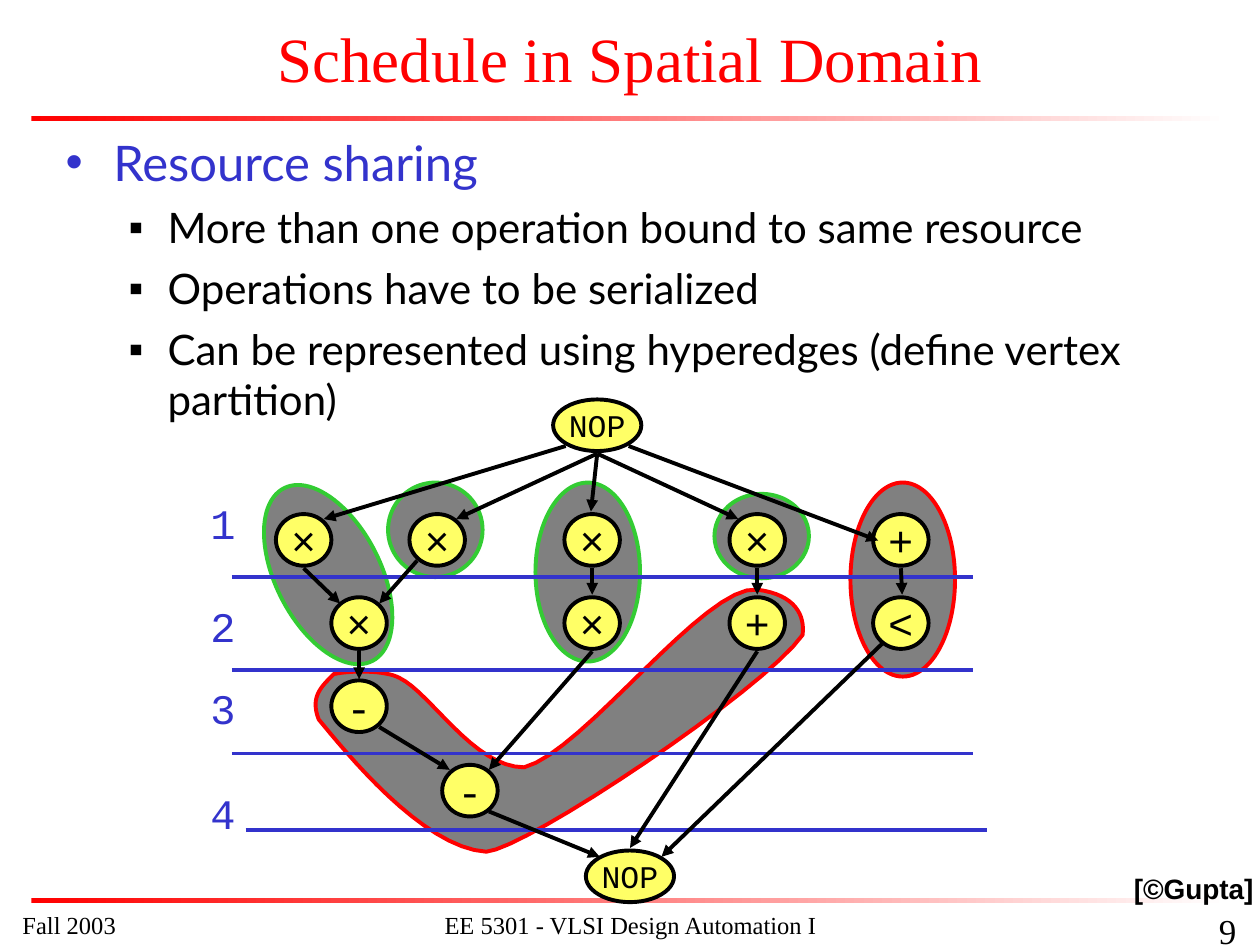
from dataclasses import dataclass

import lxml.etree
import pptx
import pptx.dml.color
import pptx.enum.shapes
import pptx.enum.text
import pptx.oxml.ns
import pptx.util

Inches = pptx.util.Inches
Pt = pptx.util.Pt
RGBColor = pptx.dml.color.RGBColor
ALIGN = pptx.enum.text.PP_ALIGN
ANCHOR = pptx.enum.text.MSO_ANCHOR
SHAPE = pptx.enum.shapes.MSO_SHAPE
qn = pptx.oxml.ns.qn

BLACK = RGBColor(0x00, 0x00, 0x00)
WHITE = RGBColor(0xFF, 0xFF, 0xFF)
RED = RGBColor(0xFF, 0x00, 0x00)
BLUE = RGBColor(0x33, 0x33, 0xCC)
GREEN = RGBColor(0x33, 0xCC, 0x33)
GRAY = RGBColor(0x80, 0x80, 0x80)
YELLOW = RGBColor(0xFF, 0xFF, 0x66)
SERIF, SANS, MONO, BODY = "Times New Roman", "Arial", "Courier New", "Lato"
LINE_WIDTH = Pt(2.25)
NODE_HEIGHT = 0.41
CURVE_STEPS = 16


@dataclass
class Oval:
    left: float
    top: float
    width: float
    height: float
    line: RGBColor
    fill: RGBColor = GRAY
    rotation: float = 0


@dataclass
class Node:
    label: str
    left: float
    top: float
    width: float = 0.44
    size: int = 24


@dataclass
class Label:
    text: str
    left: float
    top: float
    width: float
    height: float
    size: int
    font: str
    color: RGBColor = BLACK
    align: ALIGN = ALIGN.LEFT
    inset: tuple = (0.1, 0.05)
    bold: bool = False


@dataclass
class Bullet:
    text: str
    level: int
    mark: str
    margin: float
    indent: float
    before: int
    size: int
    color: RGBColor


GROUPS = [
    Oval(5.67, 3.92, 0.75, 0.67, GREEN),
    Oval(3.08, 3.83, 0.75, 0.75, GREEN),
    Oval(2.19, 3.79, 0.83, 1.54, GREEN, rotation=332.9),
    Oval(4.25, 3.83, 0.83, 1.42, GREEN),
    Oval(6.75, 3.83, 0.83, 1.54, RED),
]
ROWS = [4.08, 4.74, 5.4, 6.07]
NODES = [
    Node("NOP", 4.39, 3.17, 0.7, 18),
    Node("NOP", 4.65, 6.75, 0.7, 18),
    *(Node("×", left, ROWS[0]) for left in (2.19, 3.25, 4.48, 5.79)),
    Node("+", 6.93, ROWS[0]),
    Node("×", 2.63, ROWS[1]),
    Node("×", 4.48, ROWS[1]),
    Node("+", 5.79, ROWS[1]),
    Node("<", 6.93, ROWS[1]),
    Node("-", 2.63, ROWS[2]),
    Node("-", 3.51, ROWS[3]),
]
EDGES = [
    ((4.49, 3.54), (2.57, 4.12)), ((4.74, 3.6), (3.62, 4.12)),
    ((4.74, 3.6), (4.69, 4.06)), ((4.74, 3.6), (5.86, 4.12)),
    ((4.99, 3.54), (6.97, 4.29)), ((7.15, 4.51), (7.16, 4.72)),
    ((6.01, 4.51), (6.01, 4.72)), ((4.7, 4.51), (4.7, 4.72)),
    ((3.31, 4.45), (3.01, 4.79)), ((2.41, 4.51), (2.7, 4.79)),
    ((2.85, 5.17), (2.85, 5.39)), ((4.7, 5.17), (3.88, 6.11)),
    ((3.01, 5.77), (3.57, 6.11)), ((6.01, 5.17), (5, 6.73)),
    ((7, 5.11), (5.25, 6.8)), ((3.88, 6.44), (4.76, 6.8)),
]
STEP_LINES = [(1.84, 4.58), (1.84, 5.32), (1.84, 5.98), (1.95, 6.59)]
STEP_LENGTH = 5.88
STEP_TOPS = [3.95, 4.77, 5.42, 6.25]
HYPEREDGE_START = (6.01, 4.68)
HYPEREDGE_CURVES = [
    ((6.32, 4.72), (6.39, 4.89), (6.37, 5.04)),
    ((6.06, 5.48), (4.17, 6.74), (3.86, 6.76)),
    ((3.35, 6.73), (2.73, 5.95), (2.53, 5.71)),
    ((2.46, 5.53), (2.55, 5.45), (2.65, 5.35)),
    ((2.79, 5.32), (3.06, 5.32), (3.17, 5.38)),
    ((3.42, 5.5), (3.76, 6.09), (4.16, 6.09)),
    ((4.63, 5.97), (5.6, 4.63), (6.01, 4.68)),
]
LABELS = [
    Label("[©Gupta]", 8.75, 6.92, 1.2, 0.27, 16, SANS, align=ALIGN.RIGHT, inset=(0, 0), bold=True),
    *(Label(str(step), 1.67, top, 0.22, 0.4, 24, MONO, BLUE, inset=(0, 0))
      for step, top in enumerate(STEP_TOPS, 1)),
    Label("EE 5301 - VLSI Design Automation I", 3.17, 7.17, 3.67, 0.33, 14, SERIF, align=ALIGN.CENTER),
    Label("9", 7.83, 7.17, 2.08, 0.25, 20, SERIF, align=ALIGN.RIGHT),
    Label("Fall 2003", 0.08, 7.17, 2.08, 0.25, 14, SERIF),
]
BULLETS = [
    Bullet("Resource sharing", 0, "•", 0.38, -0.38, 7, 28, BLUE),
    *(Bullet(text, 1, "▪", 0.81, -0.31, 6, 24, BLACK) for text in (
        "More than one operation bound to same resource",
        "Operations have to be serialized",
        "Can be represented using hyperedges (define vertex partition)",
    )),
]


def add_run(paragraph, text: str, size: int, font: str, color: RGBColor, bold: bool = False) -> None:
    run = paragraph.add_run()
    run.text = text
    run.font.size = Pt(size)
    run.font.name = font
    run.font.bold = bold
    run.font.color.rgb = color


def place(shape, left: float, top: float, width: float, height: float) -> None:
    shape.left, shape.top = Inches(left), Inches(top)
    shape.width, shape.height = Inches(width), Inches(height)


def style_shape(shape, fill: RGBColor, line: RGBColor) -> None:
    shape.shadow.inherit = False
    shape.fill.solid()
    shape.fill.fore_color.rgb = fill
    shape.line.color.rgb = line
    shape.line.width = LINE_WIDTH


def add_oval(slide, oval: Oval):
    shape = slide.shapes.add_shape(SHAPE.OVAL, Inches(oval.left), Inches(oval.top),
                                   Inches(oval.width), Inches(oval.height))
    style_shape(shape, oval.fill, oval.line)
    shape.rotation = oval.rotation
    return shape


def add_node(slide, node: Node) -> None:
    shape = add_oval(slide, Oval(node.left, node.top, node.width, NODE_HEIGHT, BLACK, YELLOW))
    frame = shape.text_frame
    frame.word_wrap = False
    frame.vertical_anchor = ANCHOR.MIDDLE
    paragraph = frame.paragraphs[0]
    paragraph.alignment = ALIGN.CENTER
    add_run(paragraph, node.label, node.size, SANS if node.label == "×" else MONO, BLACK)


def add_line(slide, start: tuple, end: tuple, color: RGBColor, arrow: bool = False) -> None:
    connector = slide.shapes.add_connector(pptx.enum.shapes.MSO_CONNECTOR.STRAIGHT,
                                           *map(Inches, start + end))
    connector.line.color.rgb = color
    connector.line.width = LINE_WIDTH
    if arrow:
        outline = connector._element.spPr.find(qn("a:ln"))
        lxml.etree.SubElement(outline, qn("a:tailEnd"), type="triangle")
    lxml.etree.SubElement(connector._element.spPr, qn("a:effectLst"))


def add_label(slide, label: Label) -> None:
    box = slide.shapes.add_textbox(Inches(label.left), Inches(label.top),
                                   Inches(label.width), Inches(label.height))
    frame = box.text_frame
    frame.word_wrap = True
    frame.margin_left = frame.margin_right = Inches(label.inset[0])
    frame.margin_top = frame.margin_bottom = Inches(label.inset[1])
    paragraph = frame.paragraphs[0]
    paragraph.alignment = label.align
    add_run(paragraph, label.text, label.size, label.font, label.color, label.bold)


def add_rule(slide, top: float) -> None:
    rule = slide.shapes.add_shape(SHAPE.RECTANGLE, Inches(0.25), Inches(top), Inches(9.5), Inches(0.04))
    rule.shadow.inherit = False
    rule.line.fill.background()
    rule.fill.gradient()
    rule.fill.gradient_angle = 0
    for stop, color in zip(rule.fill.gradient_stops, (RED, WHITE)):
        stop.color.rgb = color


def add_hyperedge(slide) -> None:
    points, start = [], HYPEREDGE_START
    for first, second, end in HYPEREDGE_CURVES:
        for step in range(1, CURVE_STEPS + 1):
            t = step / CURVE_STEPS
            weights = ((1 - t) ** 3, 3 * t * (1 - t) ** 2, 3 * t * t * (1 - t), t ** 3)
            corners = (start, first, second, end)
            points.append(tuple(Inches(sum(w * c[axis] for w, c in zip(weights, corners)))
                                for axis in (0, 1)))
        start = end
    builder = slide.shapes.build_freeform(*map(Inches, HYPEREDGE_START))
    builder.add_line_segments(points, close=True)
    style_shape(builder.convert_to_shape(), GRAY, RED)


def add_bullet(paragraph, bullet: Bullet) -> None:
    paragraph.level = bullet.level
    paragraph.space_before = Pt(bullet.before)
    properties = paragraph._p.get_or_add_pPr()
    properties.set("marL", str(Inches(bullet.margin)))
    properties.set("indent", str(Inches(bullet.indent)))
    color = lxml.etree.SubElement(properties, qn("a:buClr"))
    lxml.etree.SubElement(color, qn("a:srgbClr"), val=str(bullet.color))
    lxml.etree.SubElement(properties, qn("a:buFont"), typeface=SANS)
    lxml.etree.SubElement(properties, qn("a:buChar"), char=bullet.mark)
    add_run(paragraph, bullet.text, bullet.size, BODY, bullet.color)


def fill_placeholders(slide) -> None:
    title, body = slide.shapes.title, slide.placeholders[1]
    place(title, 0, 0.08, 10, 0.75)
    place(body, 0.42, 1, 9.17, 6.08)
    for shape, anchor in ((title, ANCHOR.MIDDLE), (body, ANCHOR.TOP)):
        shape.text_frame.auto_size = pptx.enum.text.MSO_AUTO_SIZE.NONE
        shape.text_frame.vertical_anchor = anchor
    heading = title.text_frame.paragraphs[0]
    heading.alignment = ALIGN.CENTER
    add_run(heading, "Schedule in Spatial Domain", 36, SERIF, RED)
    frame = body.text_frame
    for index, bullet in enumerate(BULLETS):
        add_bullet(frame.add_paragraph() if index else frame.paragraphs[0], bullet)


def main() -> None:
    presentation = pptx.Presentation()
    presentation.slide_width, presentation.slide_height = Inches(10), Inches(7.5)
    slide = presentation.slides.add_slide(presentation.slide_layouts[1])
    fill_placeholders(slide)
    for top in (0.92, 7.13):
        add_rule(slide, top)
    add_hyperedge(slide)
    for group in GROUPS:
        add_oval(slide, group)
    for node in NODES:
        add_node(slide, node)
    for left, top in STEP_LINES:
        add_line(slide, (left, top), (left + STEP_LENGTH, top), BLUE)
    for start, end in EDGES:
        add_line(slide, start, end, BLACK, arrow=True)
    for label in LABELS:
        add_label(slide, label)
    presentation.save("out.pptx")


if __name__ == "__main__":
    main()
